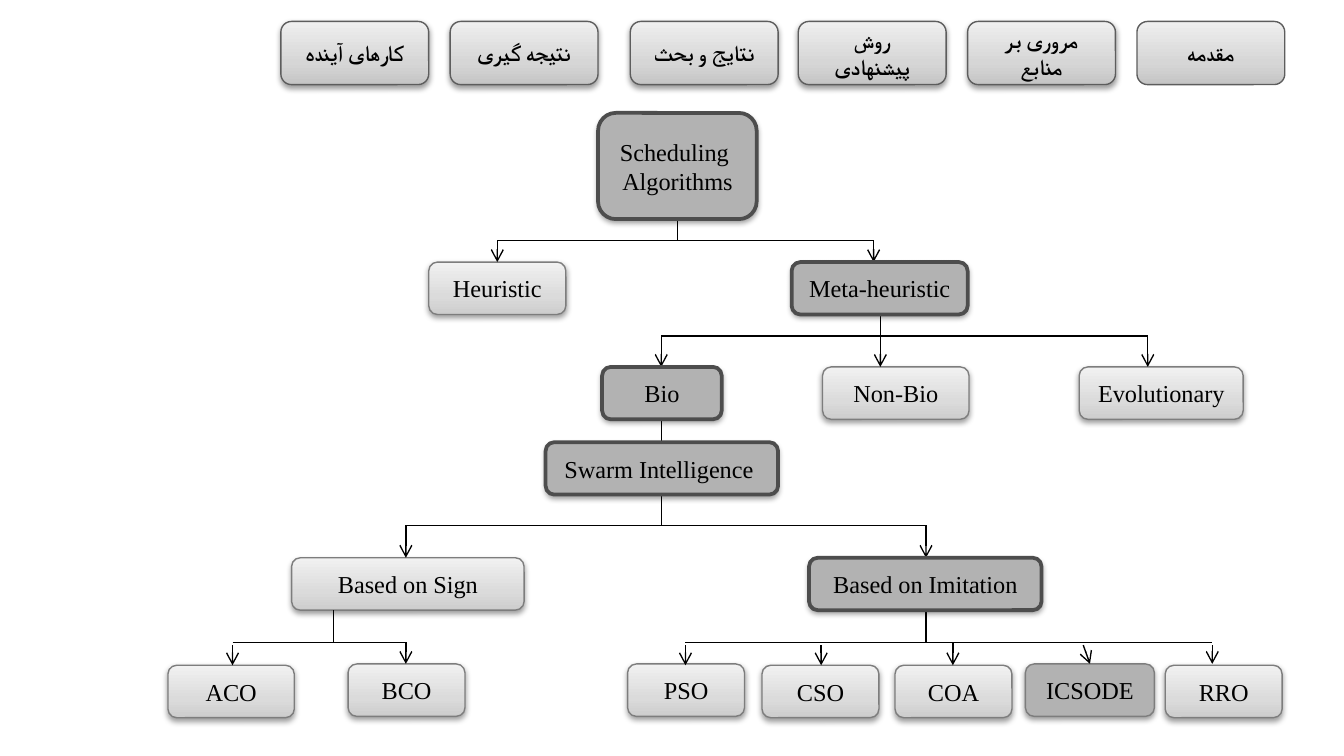
from dataclasses import dataclass

import pptx
import pptx.dml.color
import pptx.enum.shapes
import pptx.enum.text
import pptx.oxml
import pptx.oxml.ns
import pptx.util

PX = 9144  # 100 px to the inch
SLIDE_WIDTH = 1000 * PX
SLIDE_HEIGHT = SLIDE_WIDTH * 9 // 16
COLORS = {
    "black": "000000",
    "highlight": "B2B2B2",
    "node_line": "7D7D7D",
    "frame": "4D4D4D",
    "tab_line": "5D5D5D",
}
NODE_STOPS = ((0, "CDCDCD"), (35, "DBDBDB"), (100, "F1F1F1"))
TAB_STOPS = ((0, "C5C5C5"), (35, "D6D6D6"), (100, "EFEFEF"))
LATIN_FONT = "Times New Roman"
TAB_FONT = "Noto Sans CJK KR"
NAMESPACE = pptx.oxml.ns.nsdecls("a")
NODE_HEIGHT = 39


@dataclass(frozen=True)
class Node:
    text: str
    left: int
    top: int
    width: int
    height: int = NODE_HEIGHT
    highlighted: bool = False
    framed: bool = False


@dataclass(frozen=True)
class Line:
    x: int
    top: int
    bottom: int
    lean: int = 0


@dataclass(frozen=True)
class Branch:
    left: int
    right: int
    y: int
    stem: Line
    arrows: tuple[Line, ...]


# Navigation tabs
TABS = (
    ("مقدمه", 846),
    ("مروری بر منابع", 720),
    ("روش پیشنهادی", 594),
    ("نتایج و بحث", 469),
    ("نتیجه گیری", 335),
    ("کارهای آینده", 209),
)

# Tree of algorithms
NODES = (
    Node("Scheduling \nAlgorithms", 445, 84, 118, 79, True, True),
    Node("Heuristic", 319, 195, 102),
    Node("Meta-heuristic", 589, 195, 131, highlighted=True, framed=True),
    Node("Bio", 448, 273, 89, highlighted=True, framed=True),
    Node("Non-Bio", 612, 273, 109),
    Node("Evolutionary", 803, 273, 122),
    Node("Swarm Intelligence ", 406, 329, 173, highlighted=True, framed=True),
    Node("Based on Sign", 217, 415, 173),
    Node("Based on Imitation", 602, 415, 173, highlighted=True, framed=True),
    Node("ACO", 125, 495, 94),
    Node("BCO", 259, 494, 87),
    Node("PSO", 467, 494, 87),
    Node("CSO", 567, 495, 87),
    Node("COA", 666, 495, 87),
    Node("ICSODE", 763, 494, 96, highlighted=True),
    Node("RRO", 867, 495, 87),
)
BRANCHES = (
    Branch(370, 650, 179, Line(504, 163, 179),
           (Line(370, 179, 195), Line(650, 179, 195))),
    Branch(492, 854, 250, Line(492, 313, 328),
           (Line(492, 250, 273), Line(655, 234, 273), Line(854, 250, 273))),
    Branch(302, 689, 391, Line(492, 368, 391),
           (Line(302, 391, 415), Line(689, 391, 415))),
    Branch(173, 302, 478, Line(248, 454, 478),
           (Line(173, 480, 495), Line(302, 478, 494))),
    Branch(510, 902, 478, Line(689, 454, 478),
           (Line(510, 480, 495), Line(611, 480, 495), Line(709, 478, 495),
            Line(806, 480, 494, 5), Line(902, 480, 494))),
)


def rgb(name: str) -> pptx.dml.color.RGBColor:
    return pptx.dml.color.RGBColor.from_string(COLORS[name])


def add_box(slide, left: int, top: int, width: int, height: int,
            line_color: str, line_width: float):
    shape = slide.shapes.add_shape(
        pptx.enum.shapes.MSO_SHAPE.ROUNDED_RECTANGLE,
        left * PX, top * PX, width * PX, height * PX)
    shape.shadow.inherit = False
    shape.fill.background()
    shape.line.color.rgb = rgb(line_color)
    shape.line.width = pptx.util.Pt(line_width)
    return shape


def set_gradient(shape, stops: tuple[tuple[int, str], ...]) -> None:
    stop_xml = "".join(
        f'<a:gs pos="{position * 1000}"><a:srgbClr val="{color}"/></a:gs>'
        for position, color in stops)
    gradient = pptx.oxml.parse_xml(
        f'<a:gradFill {NAMESPACE} rotWithShape="1"><a:gsLst>{stop_xml}</a:gsLst>'
        '<a:lin ang="16200000" scaled="0"/></a:gradFill>')
    properties = shape.element.spPr
    properties.replace(properties.find(pptx.oxml.ns.qn("a:noFill")), gradient)


def add_shadow(shape) -> None:
    effects = shape.element.spPr.find(pptx.oxml.ns.qn("a:effectLst"))
    effects.append(pptx.oxml.parse_xml(
        f'<a:outerShdw {NAMESPACE} blurRad="40000" dist="20000" dir="5400000" '
        f'rotWithShape="0"><a:srgbClr val="{COLORS["black"]}">'
        '<a:alpha val="38000"/></a:srgbClr></a:outerShdw>'))


def set_text(shape, text: str, font_name: str, size: int, bold: bool) -> None:
    frame = shape.text_frame
    frame.word_wrap = True
    frame.vertical_anchor = pptx.enum.text.MSO_ANCHOR.MIDDLE
    frame.text = text
    for paragraph in frame.paragraphs:
        paragraph.alignment = pptx.enum.text.PP_ALIGN.CENTER
        paragraph.font.name = font_name
        paragraph.font.size = pptx.util.Pt(size)
        paragraph.font.bold = bold
        paragraph.font.color.rgb = rgb("black")


def set_right_to_left(shape, font_name: str) -> None:
    for paragraph in shape.text_frame.paragraphs:
        properties = paragraph._p.get_or_add_pPr()
        properties.set("rtl", "1")
        properties.find(pptx.oxml.ns.qn("a:defRPr")).append(
            pptx.oxml.parse_xml(f'<a:cs {NAMESPACE} typeface="{font_name}"/>'))


def add_tab(slide, text: str, left: int, shadowed: bool) -> None:
    shape = add_box(slide, left, 16, 110, 47, "tab_line", 0.75)
    set_gradient(shape, TAB_STOPS)
    if shadowed:
        add_shadow(shape)
    set_text(shape, text, TAB_FONT, 12, True)
    set_right_to_left(shape, TAB_FONT)


def add_node(slide, node: Node) -> None:
    shape = add_box(slide, node.left, node.top, node.width, node.height,
                    "node_line", 0.75)
    if node.highlighted:
        shape.fill.solid()
        shape.fill.fore_color.rgb = rgb("highlight")
    else:
        set_gradient(shape, NODE_STOPS)
    add_shadow(shape)
    set_text(shape, node.text, LATIN_FONT, 13, False)


def add_line(slide, x1: int, y1: int, x2: int, y2: int,
             arrow: bool = False) -> None:
    connector = slide.shapes.add_connector(
        pptx.enum.shapes.MSO_CONNECTOR.STRAIGHT,
        x1 * PX, y1 * PX, x2 * PX, y2 * PX)
    connector.line.color.rgb = rgb("black")
    connector.line.width = pptx.util.Pt(0.75)
    properties = connector.element.spPr
    if arrow:
        properties.find(pptx.oxml.ns.qn("a:ln")).append(
            pptx.oxml.parse_xml(f'<a:tailEnd {NAMESPACE} type="arrow"/>'))
    properties.append(pptx.oxml.parse_xml(f"<a:effectLst {NAMESPACE}/>"))


def add_branch(slide, branch: Branch) -> None:
    stem = branch.stem
    add_line(slide, branch.left, branch.y, branch.right, branch.y)
    add_line(slide, stem.x, stem.top, stem.x, stem.bottom)
    for arrow in branch.arrows:
        add_line(slide, arrow.x, arrow.top, arrow.x + arrow.lean,
                 arrow.bottom, arrow=True)


def main() -> None:
    presentation = pptx.Presentation()
    presentation.slide_width = SLIDE_WIDTH
    presentation.slide_height = SLIDE_HEIGHT
    slide = presentation.slides.add_slide(presentation.slide_layouts[6])

    for index, (text, left) in enumerate(TABS):
        add_tab(slide, text, left, shadowed=index > 0)
    for node in NODES:
        add_node(slide, node)
    for branch in BRANCHES:
        add_branch(slide, branch)
    # Heavy frames around the chosen path
    for node in NODES:
        if node.framed:
            add_box(slide, node.left, node.top, node.width, node.height,
                    "frame", 2)

    presentation.save("out.pptx")


if __name__ == "__main__":
    main()
